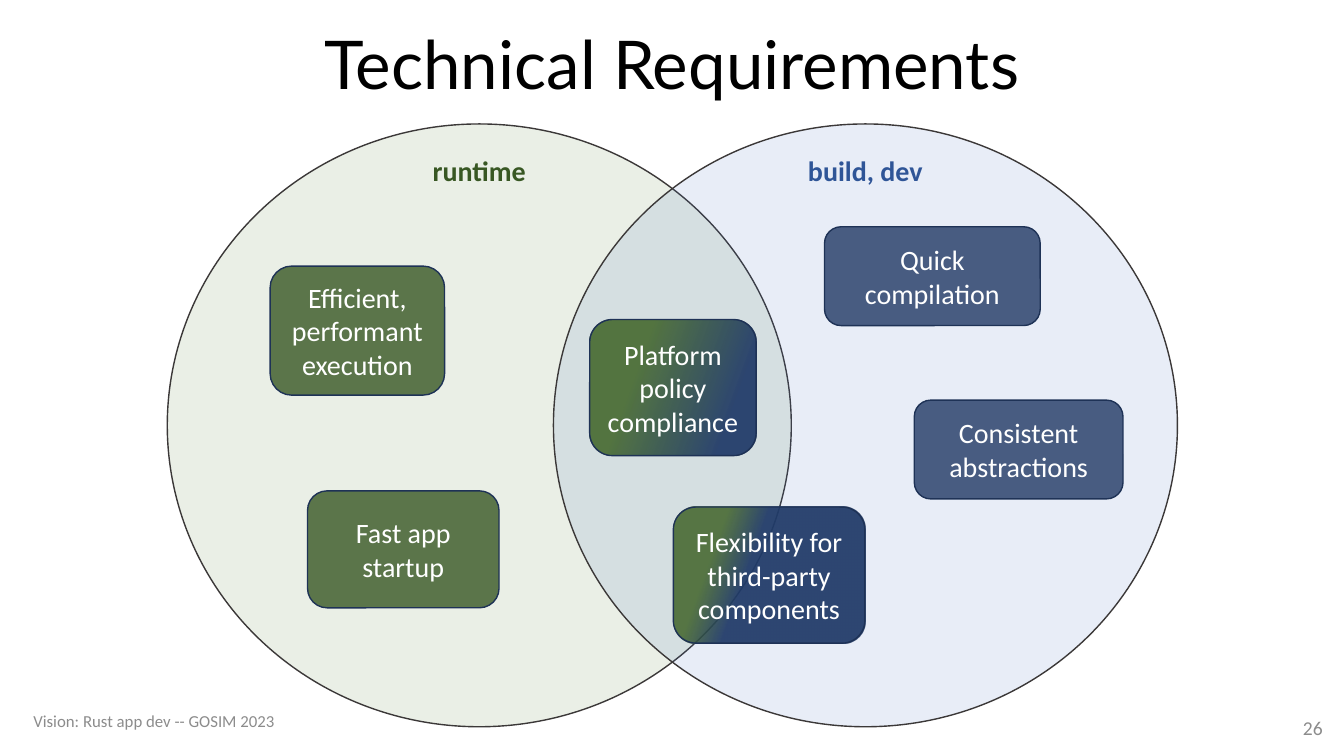
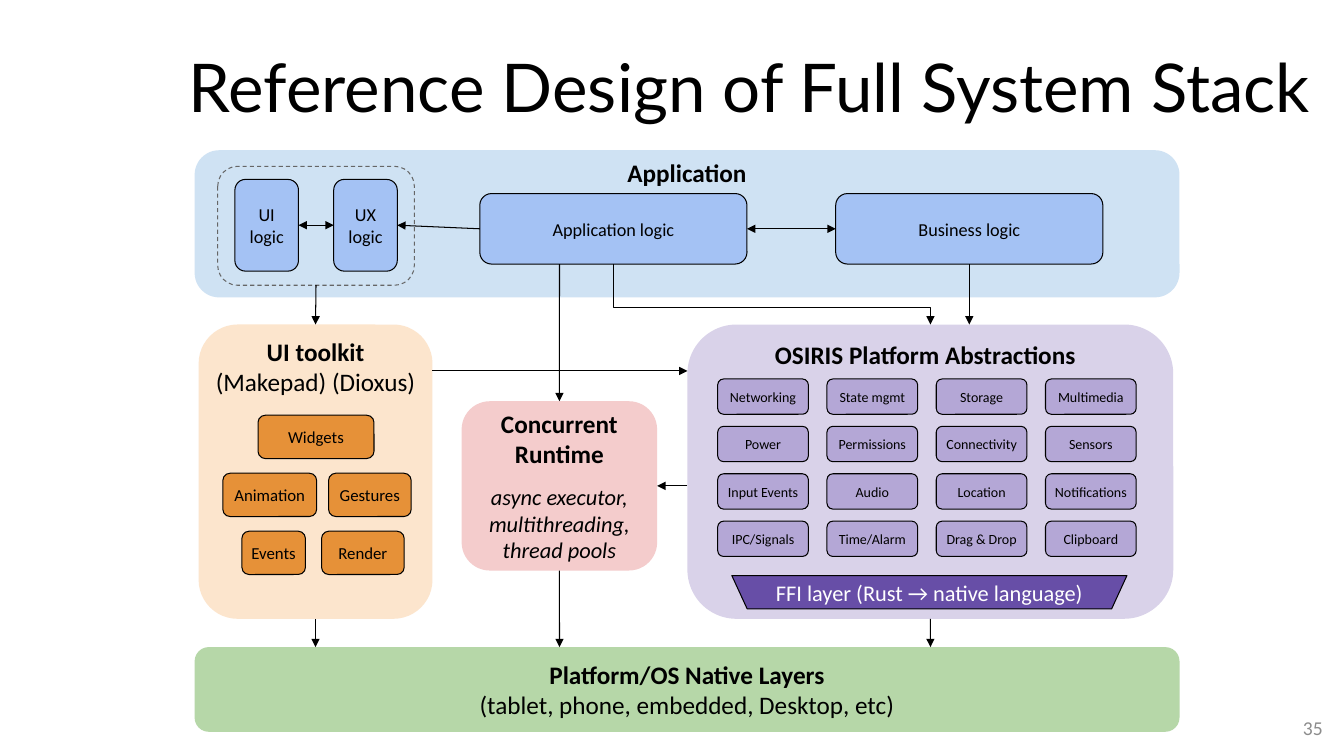
"""Build two slides: a Venn diagram of technical requirements and a full system stack."""
from lxml.etree import SubElement
from pptx import Presentation
from pptx.dml.color import RGBColor
from pptx.enum.dml import MSO_LINE
from pptx.enum.shapes import MSO_CONNECTOR, MSO_SHAPE
from pptx.enum.text import MSO_ANCHOR, PP_ALIGN
from pptx.oxml.ns import qn
from pptx.util import Inches, Pt

C = {
    "black": "000000", "white": "FFFFFF", "gray": "8C8C8C", "dash": "666666",
    "ring": "3B3838", "edge": "1E3256",
    "leaf": "548235", "forest": "385723", "moss": "42662A", "fern": "406328",
    "blue": "4472C4", "royal": "2F5597", "navy": "203864", "ink": "213B69",
    "app": "CFE2F3", "logic": "A4C2F4", "native": "B6D7A8", "runtime": "F4CCCC",
    "toolkit": "FCE5CD", "widget": "E69138",
    "platform": "D9D2E9", "module": "B4A7D6", "ffi": "674EA7",
}
OVAL, ROUND = MSO_SHAPE.OVAL, MSO_SHAPE.ROUNDED_RECTANGLE
TOP, MIDDLE = MSO_ANCHOR.TOP, MSO_ANCHOR.MIDDLE
LEFT, CENTER, RIGHT = PP_ALIGN.LEFT, PP_ALIGN.CENTER, PP_ALIGN.RIGHT

prs = Presentation()
prs.slide_width, prs.slide_height = Inches(13.33), Inches(7.5)
COL, ROW = prs.slide_width / 100, prs.slide_height / 100


def box(s, kind, at, fill=(), line=None, weight=0.75, paras=(), color="black",
        font="Calibri", align=CENTER, anchor=MIDDLE, pad=(0, 0)):
    """Place a shape or text box; fill lists (colour, opacity %, position %) stops."""
    x, y, w, h = (int(v * unit) for v, unit in zip(at, (COL, ROW, COL, ROW)))
    if kind is None:
        sp = s.shapes.add_textbox(x, y, w, h)
    else:
        sp = s.shapes.add_shape(kind, x, y, w, h)
        sp.shadow.inherit = False
        if len(fill) > 1:
            sp.fill.gradient()
            sp.fill.gradient_angle = 160
            for stop, (name, _, position) in zip(sp.fill.gradient_stops, fill):
                stop.color.rgb = RGBColor.from_string(C[name])
                stop.position = position / 100
        elif fill:
            sp.fill.solid()
            sp.fill.fore_color.rgb = RGBColor.from_string(C[fill[0][0]])
        else:
            sp.fill.background()
        for clr, (_, opacity, _) in zip(sp.element.spPr.iter(qn("a:srgbClr")), fill):
            if opacity < 100:
                SubElement(clr, qn("a:alpha")).set("val", str(opacity * 1000))
        if line:
            sp.line.color.rgb = RGBColor.from_string(C[line])
            sp.line.width = Pt(weight)
        else:
            sp.line.fill.background()
    tf = sp.text_frame
    tf.word_wrap = True
    tf.vertical_anchor = anchor
    tf.margin_left = tf.margin_right = int(pad[0] * COL)
    tf.margin_top = tf.margin_bottom = int(pad[1] * ROW)
    for i, (text, size, style) in enumerate(paras):
        p = tf.add_paragraph() if i else tf.paragraphs[0]
        p.text = text
        p.alignment = align
        p.font.name, p.font.size = font, Pt(size)
        p.font.bold, p.font.italic = "b" in style, "i" in style
        p.font.color.rgb = RGBColor.from_string(C[color])
    return sp


def arrow(s, start, end, both=False, kind=MSO_CONNECTOR.STRAIGHT):
    """Draw an arrow between grid points or (shape, side) pairs."""
    c = s.shapes.add_connector(kind, 0, 0, 0, 0)
    if hasattr(start[0], "shape_id"):
        c.begin_connect(*start)
    else:
        c.begin_x, c.begin_y = int(start[0] * COL), int(start[1] * ROW)
    if hasattr(end[0], "shape_id"):
        c.end_connect(*end)
    else:
        c.end_x, c.end_y = int(end[0] * COL), int(end[1] * ROW)
    c.line.color.rgb = RGBColor.from_string(C["black"])
    c.line.width = Pt(0.75)
    ln = c.element.spPr.find(qn("a:ln"))
    for tag in ("a:headEnd", "a:tailEnd") if both else ("a:tailEnd",):
        SubElement(ln, qn(tag)).set("type", "triangle")
    SubElement(c.element.spPr, qn("a:effectLst"))
    return c


slides = []
for title, at, align, number in [
    ("Technical Requirements", (0, -0.67, 100, 19.33), CENTER, "26"),
    ("Reference Design of Full System Stack", (14.03, 6.53, 85.97, 11.07), LEFT, "35"),
]:
    s = prs.slides.add_slide(prs.slide_layouts[6])
    sp = box(s, None, at, paras=[(title, 48, "")], font="Lato", align=align)
    sp.text_frame.paragraphs[0].line_spacing = 0.9
    box(s, None, (76.67, 93.6, 22.5, 5.33), paras=[(number, 14, "")],
        color="gray", align=RIGHT, pad=(0.75, 0.67))
    slides.append(s)
venn, stack = slides

box(venn, None, (1.73, 92.67, 22.5, 5.33), color="gray", align=LEFT, pad=(0.75, 0.67),
    paras=[("Vision: Rust app dev -- GOSIM 2023", 12, "")])
circles = [(12.45, "leaf", "runtime", "forest"), (41.18, "blue", "build, dev", "royal")]
for x, fill, _, _ in circles:
    box(venn, OVAL, (x, 16.4, 46.43, 79.73), [(fill, 12, 0)], "ring", 1)
for x, _, label, color in circles:
    box(venn, None, (x, 19.6, 46.43, 5.87), paras=[(label, 20, "b")], color=color)

green, navy = [("forest", 80, 0)], [("navy", 80, 0)]
for text, at, fill in [
    ("Efficient, performant execution", (20.1, 35.2, 12.98, 17.07), green),
    ("Quick compilation", (61.35, 30, 16.05, 13.07), navy),
    ("Fast app startup", (22.88, 64.93, 14.25, 15.47), green),
    ("Consistent abstractions", (68.03, 52.93, 15.53, 13.07), navy),
    ("Platform policy compliance", (43.88, 42.27, 12.38, 18),
     [("ink", 93, 19), ("moss", 87, 70)]),
    ("Flexibility for third-party components", (50.1, 67.07, 14.25, 18),
     [("ink", 93, 60), ("fern", 84, 77)]),
]:
    box(venn, ROUND, at, fill, "edge", 1, [(text, 20, "")], "white", pad=(0.75, 0.67))

panels = {}
for name, at, anchor, paras in [
    ("app", (14.48, 19.87, 73.28, 19.47), TOP, [("Application", 18, "b")]),
    ("native", (14.48, 85.6, 73.28, 11.2), MIDDLE,
     [("Platform/OS Native Layers", 18, "b"),
      ("(tablet, phone, embedded, Desktop, etc)", 18, "")]),
    ("toolkit", (14.78, 42.93, 17.4, 38.93), TOP,
     [("UI toolkit", 18, "b"), ("(Makepad) (Dioxus)", 18, "")]),
    ("platform", (51.15, 42.93, 36.15, 38.93), TOP,
     [("OSIRIS Platform Abstractions", 18, "b")]),
    ("runtime", (34.35, 53.07, 14.55, 22.4), MIDDLE,
     [("Concurrent Runtime", 18, "b"),
      ("async executor,\nmultithreading,\nthread pools", 16, "i")]),
]:
    panels[name] = box(stack, ROUND, at, [(name, 100, 0)], paras=paras, anchor=anchor)
panels["platform"].text_frame.margin_right = int(0.75 * COL)
panels["runtime"].text_frame.paragraphs[1].space_before = Pt(10)

group = box(stack, ROUND, (16.2, 22, 14.63, 15.73), line="dash")
group.line.dash_style = MSO_LINE.DASH
ui, ux, app, business = [
    box(stack, ROUND, at, [("logic", 100, 0)], "black", paras=[(text, 13, "")],
        pad=(0.75, 0))
    for text, at in [
        ("UI logic", (17.48, 23.73, 4.73, 12.13)),
        ("UX logic", (24.83, 23.73, 4.73, 12.13)),
        ("Application logic", (35.7, 25.6, 19.88, 9.33)),
        ("Business logic", (62.18, 25.6, 19.88, 9.33)),
    ]
]

for row, widgets in enumerate([
    [("Widgets", 19.2, 8.63)],
    [("Animation", 16.58, 6.98), ("Gestures", 24.45, 6.15)],
    [("Events", 18, 4.73), ("Render", 23.93, 6.15)],
]):
    for text, x, w in widgets:
        box(stack, ROUND, (x, 54.93 + row * 7.67, w, 5.73), [("widget", 100, 0)],
            "black", paras=[(text, 12, "")])

for row, modules in enumerate([
    ["Networking", "State mgmt", "Storage", "Multimedia"],
    ["Power", "Permissions", "Connectivity", "Sensors"],
    ["Input Events", "Audio", "Location", "Notifications"],
    ["IPC/Signals", "Time/Alarm", "Drag & Drop", "Clipboard"],
]):
    for col, text in enumerate(modules):
        box(stack, ROUND, (53.4 + col * 8.13, 50.13 + row * 6.27, 6.75, 4.67),
            [("module", 100, 0)], "black", paras=[(text, 10, "")])

ffi_at = (54.45, 76.13, 29.4, 4.4)
ffi = box(stack, MSO_SHAPE.TRAPEZOID, ffi_at, [("ffi", 100, 0)], "black")
ffi.rotation = 180
ffi.adjustments[0] = 0.46
box(stack, None, ffi_at, color="white",
    paras=[("FFI layer (Rust → native language)", 16, "")])

for start, end, both in [
    ((ui, 3), (ux, 1), True),
    ((app, 3), (business, 1), True),
    ((app, 1), (ux, 3), False),
    ((group, 2), (panels["toolkit"], 0), False),
    ((41.63, 34.93), (panels["runtime"], 0), False),
    ((business, 2), (72.12, 42.93), False),
    ((32.18, 49.07), (51.15, 49.07), False),
    ((51.15, 64.27), (panels["runtime"], 3), False),
    ((panels["toolkit"], 2), (23.48, 85.6), False),
    ((panels["runtime"], 2), (41.63, 85.6), False),
    ((panels["platform"], 2), (69.23, 85.6), False),
]:
    arrow(stack, start, end, both)

bent = arrow(stack, (45.64, 34.93), (69.23, 42.93), kind=MSO_CONNECTOR.ELBOW)
w, h = bent.width, bent.height
bent.left, bent.top = bent.left + (w - h) // 2, bent.top - (w - h) // 2
bent.width, bent.height = h, w
xfrm = bent.element.spPr.find(qn("a:xfrm"))
xfrm.set("rot", "16200000")
xfrm.set("flipH", "1")
guide = SubElement(bent.element.spPr.find(qn("a:prstGeom")).find(qn("a:avLst")), qn("a:gd"))
guide.set("name", "adj1")
guide.set("fmla", "val 72500")

prs.save("out.pptx")
